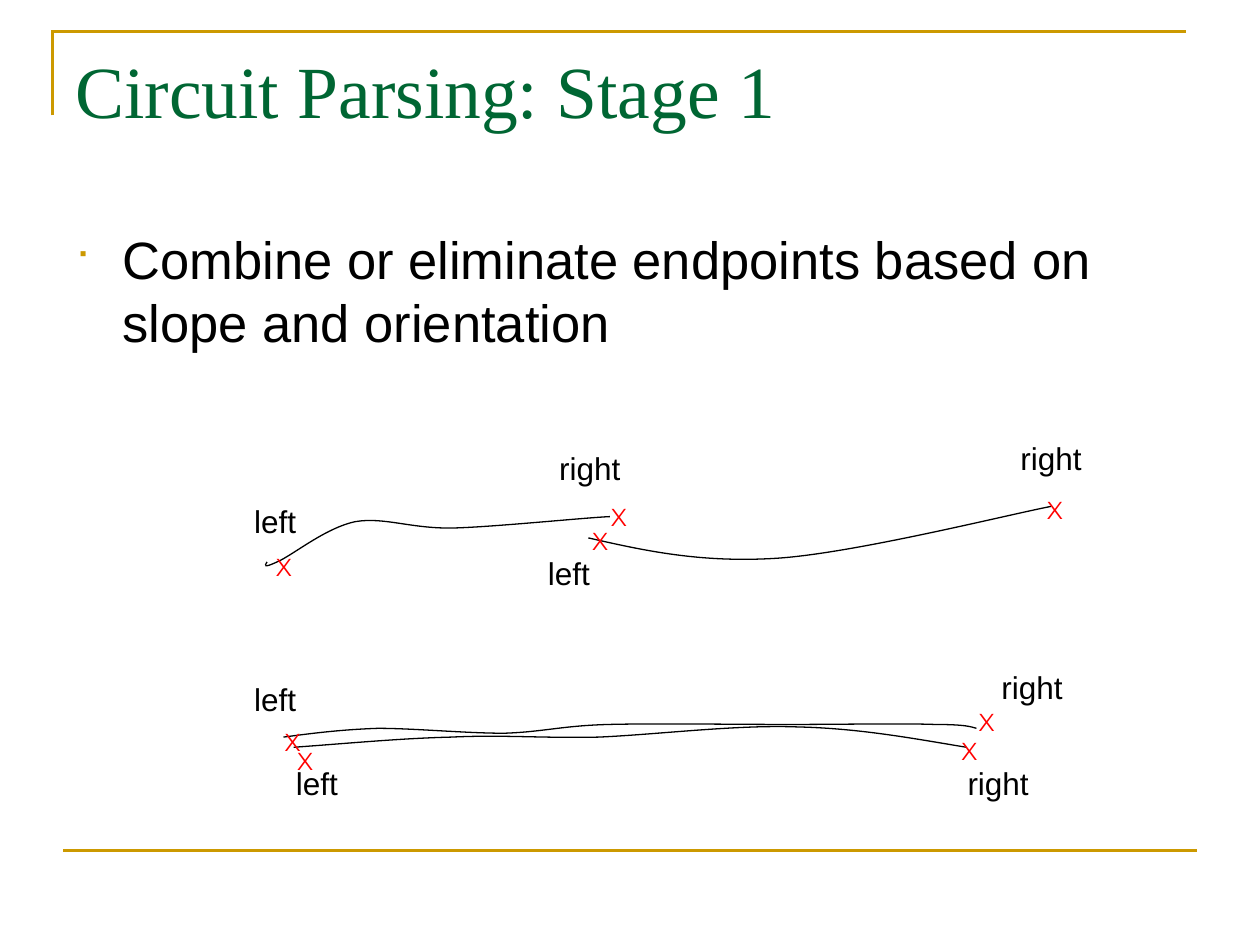
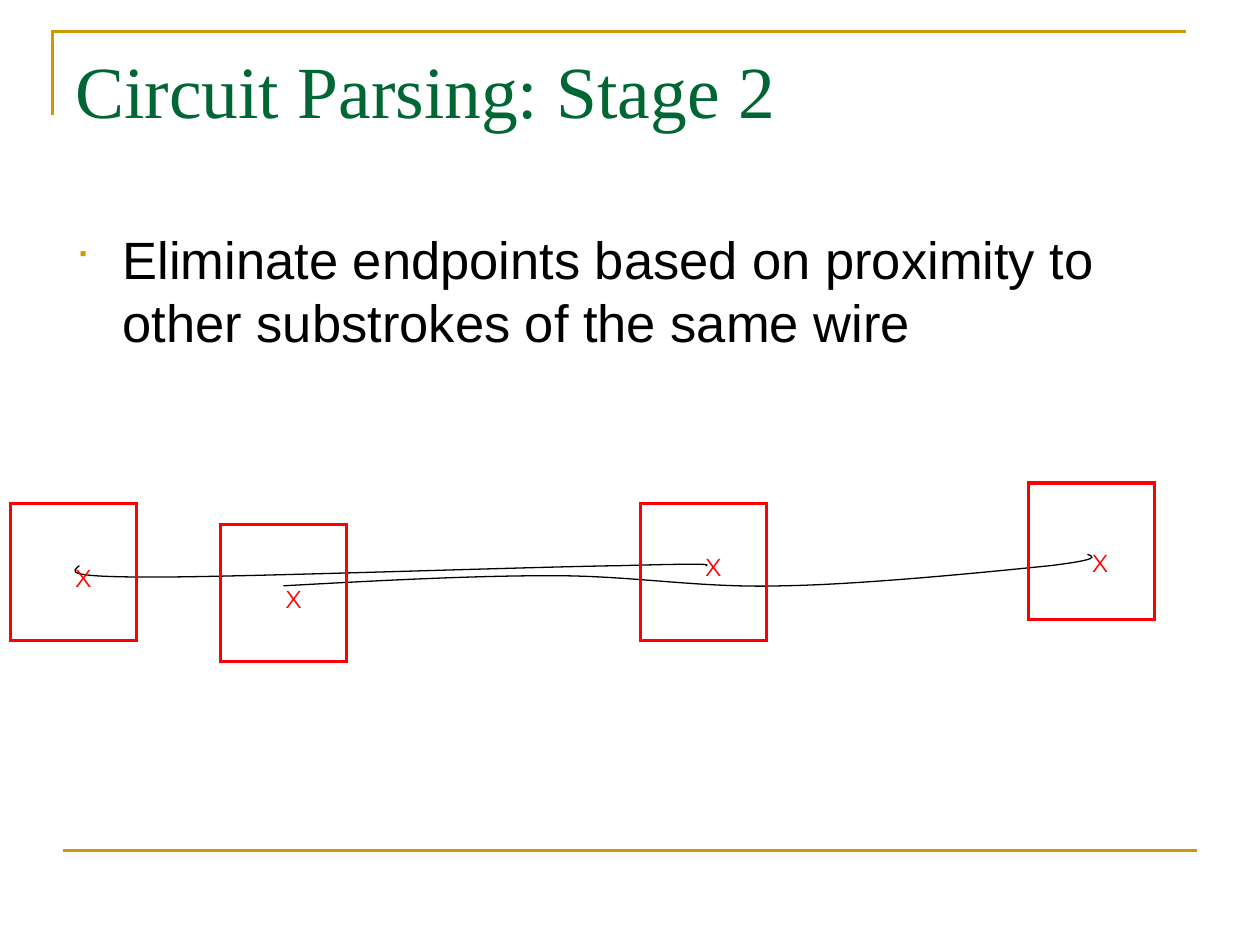
from pptx import Presentation
from pptx.dml.color import RGBColor
from pptx.enum import shapes as sh, text as tx
from pptx.oxml import parse_xml
from pptx.oxml.ns import nsdecls, qn
from pptx.util import Pt

# Content: marks, labels and zones are placed by their left and top, in points.
# A wire is a start point followed by groups of three Bezier points.
SLIDES = [
    {
        "title": "Circuit Parsing: Stage 1",
        "point": "Combine or eliminate endpoints based on slope and orientation",
        "wires": [
            [(152.6, 321.1), (151.2, 323.3), (150.5, 324.7), (158.4, 321.1),
             (167, 317.5), (185.8, 301.7), (203, 298.1),
             (219.6, 295.2), (235.4, 302.4), (259.9, 301.7),
             (283.7, 301), (333.4, 295.9), (348.5, 295.2)],
            [(336.2, 307.4), (367.9, 314.6), (400.3, 321.8), (444.2, 319),
             (488.2, 316.1), (574.6, 294.5), (600.5, 289.4)],
            [(162, 421.2), (178.6, 419), (195.1, 416.9), (216, 416.2),
             (236.9, 416.2), (265.7, 419), (288, 419),
             (310.3, 418.3), (321.1, 414.7), (347.8, 414),
             (375.1, 413.3), (419, 414), (450, 414),
             (481, 414), (516.2, 413.3), (534.2, 414),
             (552.2, 414), (555.1, 415.4), (558, 416.2)],
            [(167.8, 427), (198.7, 424.8), (229, 421.9), (257.8, 421.2),
             (287.3, 419.8), (308.9, 421.9), (342, 421.2),
             (375.1, 419.8), (421.2, 414), (455.8, 415.4),
             (491, 416.2), (521.3, 421.9), (552.2, 427)],
        ],
        "marks": [(342, 283.2), (150.5, 311.8), (331.2, 296.9), (591.1, 279.4),
                  (542.2, 416.9), (552.2, 400.3), (162.7, 422.6), (155.5, 411.8)],
        "labels": {
            "left": [(138.2, 283.4), (306, 313.2), (162, 433), (138.2, 385.2)],
            "right": [(312.5, 253), (576, 247.3), (565.2, 378), (545.8, 433)],
        },
        "zones": [],
    },
    {
        "title": "Circuit Parsing: Stage 2",
        "point": "Eliminate endpoints based on proximity to other substrokes "
                 "of the same wire",
        "wires": [
            [(45.4, 323.3), (41, 326.9), (36, 329.8), (87.8, 329.8),
             (139, 329.8), (301.7, 324), (354.2, 323.3),
             (406.8, 321.8), (405.4, 322.6), (403.2, 323.3)],
            [(162, 334.8), (214.6, 331.9), (267.8, 329), (315.4, 329),
             (362.9, 329), (399.6, 336.2), (447.1, 334.8),
             (494.6, 334.1), (571, 326.2), (599.8, 323.3),
             (629.3, 319.7), (625, 318.2), (621.4, 316.8)],
        ],
        "marks": [(396, 311.8), (36, 318.2), (156.2, 330), (617, 309.6)],
        "labels": {},
        "zones": [(126, 300), (366, 288), (6, 288), (588, 276)],
    },
]

# Shared style
COLORS = {"gold": "CC9900", "green": "006633", "black": "000000", "red": "FF0000"}
STYLES = {  # font, size, colour
    "title": ("Times New Roman", 42, "green"),
    "body": ("Arial", 30, "black"),
    "label": ("Arial", 18, "black"),
    "mark": ("Montserrat", 14, "red"),
}
MARK, LABEL, ZONE = (15, 18), (66, 29), (72, 78)
FRAME = [(30, 66), (30, 18), (678, 18)]
FIT = tx.MSO_AUTO_SIZE


def color(name):
    return RGBColor.from_string(COLORS[name])


def ink(shape, name, width):
    shape.line.color.rgb = color(name)
    shape.line.width = Pt(width)
    join = parse_xml(f'<a:miter {nsdecls("a")} lim="800000"/>')
    shape._element.spPr.find(qn("a:ln")).append(join)


def outline(shape, name, width):
    shape.shadow.inherit = False
    shape.fill.background()
    ink(shape, name, width)


def write(slide, words, style, spot, size, wrap=True, fit=FIT.NONE):
    box = slide.shapes.add_textbox(*map(Pt, spot + size))
    frame = box.text_frame
    frame.word_wrap = wrap
    frame.auto_size = fit
    frame.text = words
    font = frame.paragraphs[0].runs[0].font
    font.name, points, name = STYLES[style]
    font.size = Pt(points)
    font.color.rgb = color(name)
    return frame


def bullet(para):
    props = para._p.get_or_add_pPr()
    props.set("marL", str(Pt(27)))
    props.set("indent", str(Pt(-27)))
    for tag in (f'<a:buClr {nsdecls("a")}><a:srgbClr val="{COLORS["gold"]}"/></a:buClr>',
                f'<a:buSzPct {nsdecls("a")} val="65000"/>',
                f'<a:buFont {nsdecls("a")} typeface="Wingdings"/>',
                f'<a:buChar {nsdecls("a")} char="■"/>'):
        props.append(parse_xml(tag))


def trace(slide, points, name, width):
    first, *rest = [(Pt(x), Pt(y)) for x, y in points]
    pen = slide.shapes.build_freeform(*first)
    pen.add_line_segments(rest, close=False)
    shape = pen.convert_to_shape()
    outline(shape, name, width)
    return shape


def bend(shape):
    """Turn each three line segments into one cubic Bezier segment."""
    lines = list(shape._element.iter(qn("a:lnTo")))
    for i in range(0, len(lines), 3):
        cubic = parse_xml(f'<a:cubicBezTo {nsdecls("a")}/>')
        lines[i].addprevious(cubic)
        for line in lines[i:i + 3]:
            cubic.append(line[0])
            line.getparent().remove(line)


def base(slide, title, point):
    # Frame and bottom rule
    trace(slide, FRAME, "gold", 1.5)
    rule = slide.shapes.add_connector(sh.MSO_CONNECTOR.STRAIGHT,
                                      Pt(36), Pt(486), Pt(684), Pt(486))
    ink(rule, "gold", 1.5)
    rule._element.spPr.append(parse_xml(f'<a:effectLst {nsdecls("a")}/>'))
    # Title and bullet
    write(slide, title, "title", (36, 22), (648, 90))
    body = write(slide, point, "body", (36, 126), (648, 356.4))
    bullet(body.paragraphs[0])


def draw(slide, data):
    base(slide, data["title"], data["point"])
    for nodes in data["wires"]:
        bend(trace(slide, nodes, "black", 0.75))
    for spot in data["marks"]:
        write(slide, "X", "mark", spot, MARK, wrap=False)
    for word, spots in data["labels"].items():
        for spot in spots:
            write(slide, word, "label", spot, LABEL, fit=FIT.SHAPE_TO_FIT_TEXT)
    for spot in data["zones"]:
        zone = slide.shapes.add_shape(sh.MSO_SHAPE.RECTANGLE, *map(Pt, spot + ZONE))
        outline(zone, "red", 1.75)


def main():
    deck = Presentation()
    deck.slide_width, deck.slide_height = Pt(720), Pt(540)
    for data in SLIDES:
        draw(deck.slides.add_slide(deck.slide_layouts[6]), data)
    deck.save("out.pptx")


if __name__ == "__main__":
    main()
